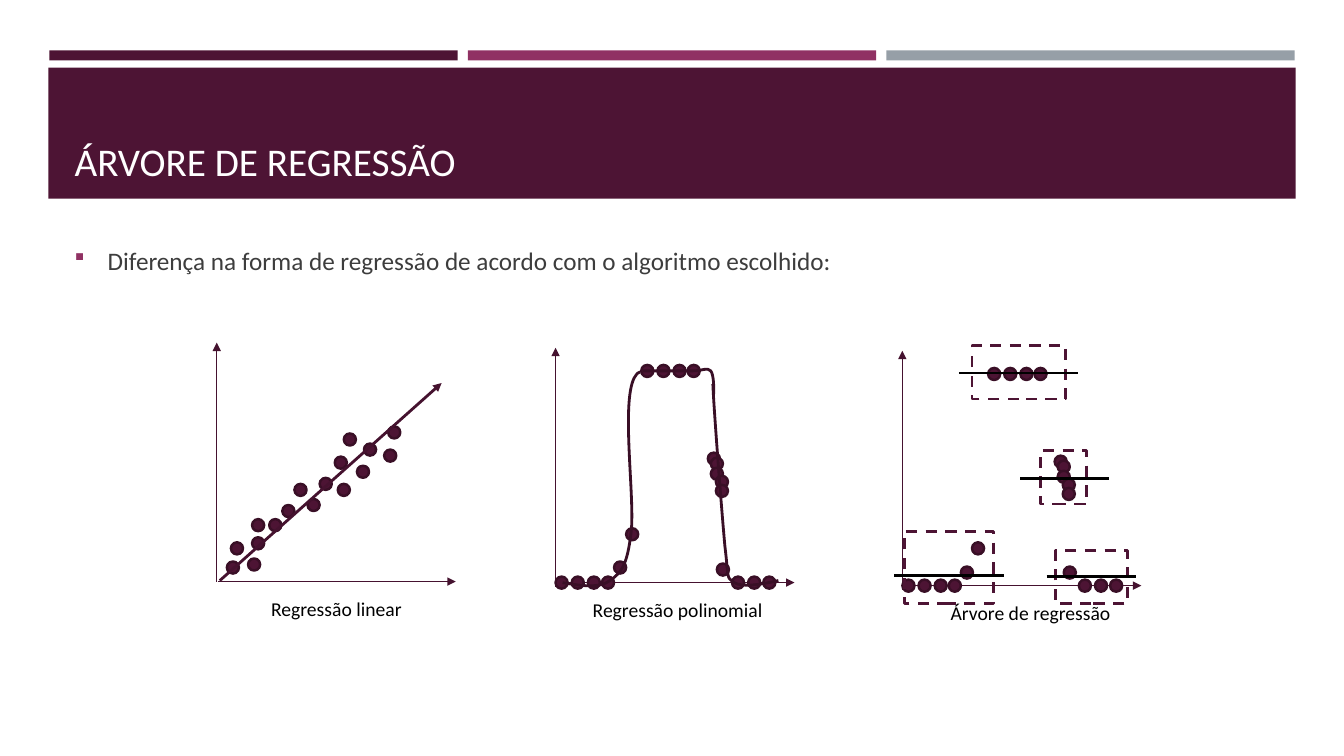
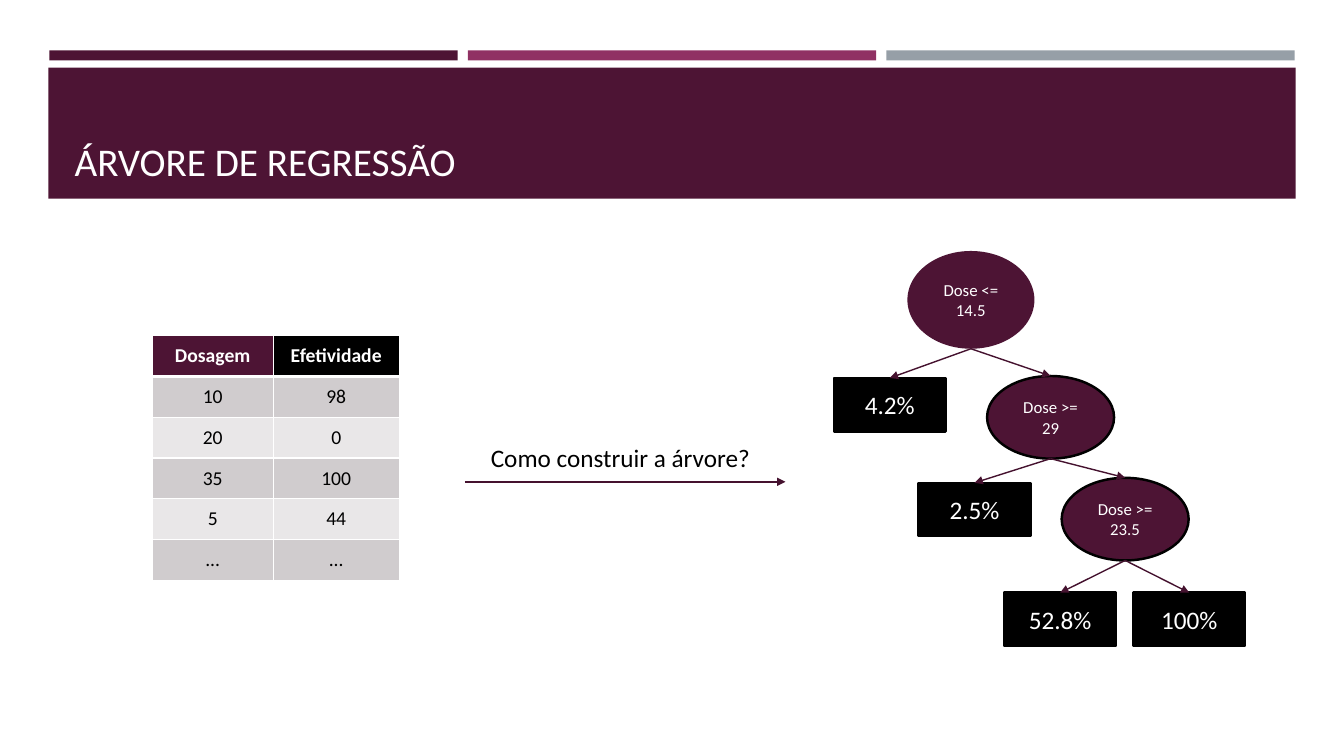
from dataclasses import dataclass

from lxml import etree
from pptx import Presentation
from pptx.dml.color import RGBColor
from pptx.enum.dml import MSO_LINE
from pptx.enum.shapes import MSO_CONNECTOR, MSO_SHAPE
from pptx.enum.text import MSO_ANCHOR, PP_ALIGN
from pptx.oxml.ns import qn
from pptx.util import Inches, Pt

RECT, OVAL = MSO_SHAPE.RECTANGLE, MSO_SHAPE.OVAL
STRAIGHT, DASH = MSO_CONNECTOR.STRAIGHT, MSO_LINE.DASH
LEFT, CENTER = PP_ALIGN.LEFT, PP_ALIGN.CENTER
MIDDLE, BOTTOM = MSO_ANCHOR.MIDDLE, MSO_ANCHOR.BOTTOM


@dataclass(frozen=True)
class Theme:
    font: str = "Calibri"
    wine: str = "4D1434"
    axis: str = "45122F"
    edge: str = "390F26"
    plum: str = "903163"
    steel: str = "969FA7"
    ink: str = "3D3D3D"
    black: str = "000000"
    white: str = "FFFFFF"
    odd: str = "D0CCCE"
    even: str = "E9E7E8"
    title: int = 28
    body: int = 18
    label: int = 14
    node: int = 12


T = Theme()
TITLE = "ÁRVORE DE REGRESSÃO"

# Plot points are (right, up) in inches from the corner of the axes.
TREND = [
    (.2, .33), (.37, .17), (.41, .38), (.58, .56), (.41, .56), (.71, .7),
    (.96, .76), (.83, .91), (1.08, .97), (1.26, .91), (1.23, 1.18),
    (1.32, 1.41), (1.45, 1.09), (1.52, 1.31), (1.76, 1.48), (1.72, 1.25),
    (.16, .14),
]
DOSES = (
    [(x, 0) for x in (.06, .22, .38, .52, 1.81, 1.97, 2.12)]
    + [(x, 2.1) for x in (.91, 1.07, 1.23, 1.37)]
    + [(1.57, 1.23), (1.6, 1.18), (1.6, 1.08), (1.65, 1), (1.65, .91),
       (1.66, .13)]
)
# Each curve is a start followed by cubic Bézier triples.
CURVES = [
    [(.07, 0), (.25, -.03), (.43, -.06), (.54, .02), (.65, .1), (.71, .16),
     (.75, .5), (.79, .83), (.65, 1.77), (.78, 2.03), (.8, 2.05),
     (.8, 2.08), (.84, 2.09)],
    [(2.21, .02), (2.03, -.02), (1.86, -.05), (1.77, 0), (1.69, .06),
     (1.72, .03), (1.68, .36), (1.65, .68), (1.57, 1.72), (1.56, 1.97)],
    [(.87, 2.1), (1.03, 2.1), (1.19, 2.1), (1.35, 2.1), (1.47, 2.1),
     (1.5, 2.14), (1.54, 2.1), (1.57, 2.06), (1.57, 1.94), (1.57, 1.87)],
]
# Left, top, width and height of a leaf, then start, end and level of its mean.
LEAVES = [
    (.69, 2.38, .93, .53, .56, 1.74, 2.11),
    (1.37, 1.34, .46, .53, 1.17, 2.05, 1.06),
    (1.52, .35, .71, .53, 1.43, 2.32, .09),
    (.02, .54, .88, .72, -.08, 1.01, .1),
]
ROWS = [
    ("Dosagem", "Efetividade"), ("10", "98"), ("20", "0"), ("35", "100"),
    ("5", "44"), ("...", "..."),
]
# Text, left and top within the tree, children.
TREE = ("Dose <= 14.5", .73, 0, [
    ("4.2%", 0, 1.26, []),
    ("Dose >= 29", 1.52, 1.24, [
        ("2.5%", .84, 2.3, []),
        ("Dose >= 23.5", 2.26, 2.25, [
            ("52.8%", 1.69, 3.39, []),
            ("100%", 2.97, 3.39, []),
        ]),
    ]),
])


def rgb(code):
    return RGBColor.from_string(code)


def write(para, text, size, color, bold=False, align=LEFT):
    para.alignment = align
    run = para.add_run()
    run.text = text
    font = run.font
    font.name, font.size, font.bold = T.font, Pt(size), bold
    font.color.rgb = rgb(color)


def shape(shapes, kind, box, fill=None, edge=None, width=1.75):
    item = shapes.add_shape(kind, *map(Inches, box))
    item.shadow.inherit = False
    if fill:
        item.fill.solid()
        item.fill.fore_color.rgb = rgb(fill)
    else:
        item.fill.background()
    if edge:
        item.line.color.rgb = rgb(edge)
        item.line.width = Pt(width)
    else:
        item.line.fill.background()
    return item


def line(shapes, start, end, color=T.axis, width=1, arrow=True):
    item = shapes.add_connector(STRAIGHT, *map(Inches, (*start, *end)))
    item.line.color.rgb = rgb(color)
    item.line.width = Pt(width)
    props = item.element.spPr
    if arrow:
        etree.SubElement(props.find(qn("a:ln")), qn("a:tailEnd"),
                         type="triangle")
    etree.SubElement(props, qn("a:effectLst"))
    return item


def label(shapes, box, text, size, color=T.black, wrap=False):
    frame = shapes.add_textbox(*map(Inches, box)).text_frame
    frame.word_wrap = wrap
    para = frame.paragraphs[0]
    write(para, text, size, color)
    return para


def bullet(para):
    """Add a square bullet, which is the section sign in Wingdings."""
    props = para._p.get_or_add_pPr()
    props.set("marL", str(Inches(.33)))
    props.set("indent", str(-Inches(.33)))
    para.space_before, para.space_after = Pt(3.6), Pt(6)
    tint = etree.SubElement(props, qn("a:buClr"))
    etree.SubElement(tint, qn("a:srgbClr"), val=T.plum)
    etree.SubElement(props, qn("a:buSzPct"), val="92000")
    etree.SubElement(props, qn("a:buFont"), typeface="Wingdings",
                     pitchFamily="2", charset="2")
    etree.SubElement(props, qn("a:buChar"), char="§")


def bands(slide, layout):
    """Draw the header bands and hand them to the layout, behind its title."""
    boxes = [(.49 + 4.15 * i, .5, 4.05, .1) for i in range(3)]
    boxes.append((.48, .67, 12.37, 1.3))
    fills = (T.wine, T.plum, T.steel, T.wine)
    for i, (box, fill) in enumerate(zip(boxes, fills)):
        node = shape(slide.shapes, RECT, box, fill).element
        node.nvSpPr.cNvPr.set("id", str(20 + i))
        layout.shapes.element.insert(2 + i, node)


def page(deck, layout):
    slide = deck.slides.add_slide(layout)
    title = slide.shapes.title
    title.left, title.top = Inches(.64), Inches(.77)
    title.width, title.height = Inches(12.06), Inches(1.11)
    frame = title.text_frame
    frame.vertical_anchor = BOTTOM
    write(frame.paragraphs[0], TITLE, T.title, T.white)
    return slide


def bend(item, points):
    """Turn each straight segment of a freeform into a cubic curve."""
    steps = list(item.element.iter(qn("a:lnTo")))
    for i, step in enumerate(steps):
        cubic = etree.Element(qn("a:cubicBezTo"))
        for x, y in points[3 * i + 1:3 * i + 4]:
            etree.SubElement(cubic, qn("a:pt"), x=str(x - item.left),
                             y=str(y - item.top))
        step.getparent().replace(step, cubic)


class Plot:
    """A group of marks placed from the corner of its axes."""

    def __init__(self, slide, x, y, foot=0):
        self.x, self.y = x, y
        self.shapes = slide.shapes.add_group_shape().shapes
        self.rule((0, -foot), (0, 2.37 - foot))
        self.rule((.01, 0), (2.37, 0))

    def at(self, point):
        return self.x + point[0], self.y - point[1]

    def rule(self, start, end, **style):
        line(self.shapes, self.at(start), self.at(end), **style)

    def dots(self, points, size=.12):
        for point in points:
            x, y = self.at(point)
            box = (x - size / 2, y - size / 2, size, size)
            shape(self.shapes, OVAL, box, T.wine, T.edge)

    def curve(self, points):
        track = [tuple(map(Inches, self.at(p))) for p in points]
        pen = self.shapes.build_freeform(*track[0])
        pen.add_line_segments(track[3::3], close=False)
        item = pen.convert_to_shape()
        bend(item, track)
        item.shadow.inherit = False
        item.fill.background()
        item.line.color.rgb = rgb(T.edge)
        item.line.width = Pt(2)

    def leaf(self, left, top, width, height):
        box = (*self.at((left, top)), width, height)
        item = shape(self.shapes, RECT, box, None, T.wine, 2)
        item.line.dash_style = DASH

    def caption(self, text, left, width):
        box = (*self.at((left, -.1)), width, .34)
        label(self.shapes, box, text, T.label)


def linear(slide, x, y):
    plot = Plot(slide, x, y)
    plot.dots(TREND)
    plot.rule((.03, .01), (2.23, 1.97), width=2)
    plot.caption("Regressão linear", .44, 1.51)


def curved(slide, x, y):
    plot = Plot(slide, x, y, .04)
    plot.dots(DOSES + [(.64, .15), (.76, .48)])
    for points in CURVES:
        plot.curve(points)
    plot.caption("Regressão polinomial", .27, 1.89)


def split(slide, x, y):
    plot = Plot(slide, x, y, .04)
    plot.dots(DOSES + [(.64, .13), (.75, .37)])
    plot.caption("Árvore de regressão", .38, 1.84)
    for *box, start, end, mean in LEAVES:
        plot.leaf(*box)
        plot.rule((start, mean), (end, mean),
                  color=T.black, width=2, arrow=False)


def edges(cell, tops, bottoms):
    props = cell._tc.get_or_add_tcPr()
    for side, width in zip("LRTB", (1, 1, tops, bottoms)):
        rule = etree.SubElement(props, qn("a:ln" + side), w=str(Pt(width)))
        fill = etree.SubElement(rule, qn("a:solidFill"))
        etree.SubElement(fill, qn("a:srgbClr"), val=T.white)


def table(slide, x, y):
    box = map(Inches, (x, y, 2.45, 2.43))
    grid = slide.shapes.add_table(len(ROWS), 2, *box).table
    for col, width in zip(grid.columns, (1.2, 1.25)):
        col.width = Inches(width)
    for r, row in enumerate(ROWS):
        head = r == 0
        fills = (T.wine, T.black) if head else (T.odd if r % 2 else T.even,) * 2
        for c, text in enumerate(row):
            cell = grid.cell(r, c)
            cell.vertical_anchor = MIDDLE
            edges(cell, 3 if r == 1 else 1, 3 if head else 1)
            cell.fill.solid()
            cell.fill.fore_color.rgb = rgb(fills[c])
            write(cell.text_frame.paragraphs[0], text, T.label,
                  T.white if head else T.black, head, CENTER)


def tree(slide, x, y, node, root=True):
    """Draw a node and its branches, and return its shape."""
    text, left, top, kids = node
    width, height = (1.26, .97 if root else .82) if kids else (1.11, .53)
    box = (x + left, y + top, width, height)
    item = shape(slide.shapes, OVAL if kids else RECT, box,
                 T.wine if kids else T.black, None if root else T.black)
    frame = item.text_frame
    frame.word_wrap = True
    frame.vertical_anchor = MIDDLE
    write(frame.paragraphs[0], text, T.node if kids else T.body,
          T.white, align=CENTER)
    base = (x + left + width / 2, y + top + height)
    for kid in kids:
        child = tree(slide, x, y, kid, False)
        line(slide.shapes, base, base).end_connect(child, 0)
    return item


def main():
    deck = Presentation()
    deck.slide_width, deck.slide_height = Inches(13.33), Inches(7.5)
    layout = deck.slide_layouts[5]

    forms = page(deck, layout)
    bands(forms, layout)
    bullet(label(
        forms.shapes, (.64, 2.38, 12.06, 4.02),
        "Diferença na forma de regressão de acordo com o algoritmo escolhido:",
        T.body, T.ink, True))
    linear(forms, 2.15, 5.77)
    curved(forms, 5.51, 5.78)
    split(forms, 8.95, 5.81)

    build = page(deck, layout)
    table(build, 1.51, 3.33)
    line(build.shapes, (4.61, 4.78), (7.79, 4.78))
    label(build.shapes, (4.77, 4.34, 2.87, .4), "Como construir a árvore?",
          T.body)
    tree(build, 8.27, 2.49, TREE)
    deck.save("out.pptx")


if __name__ == "__main__":
    main()
